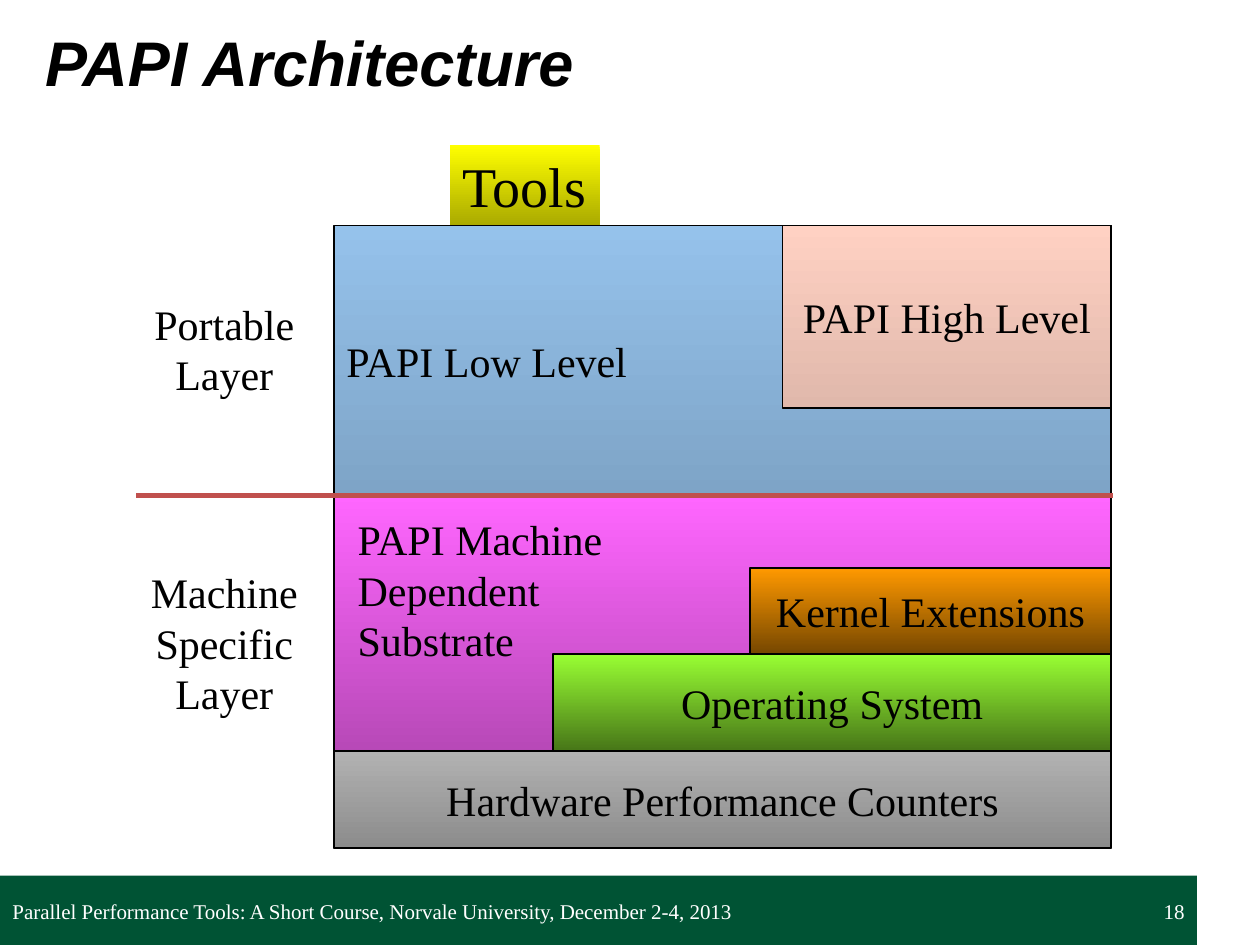
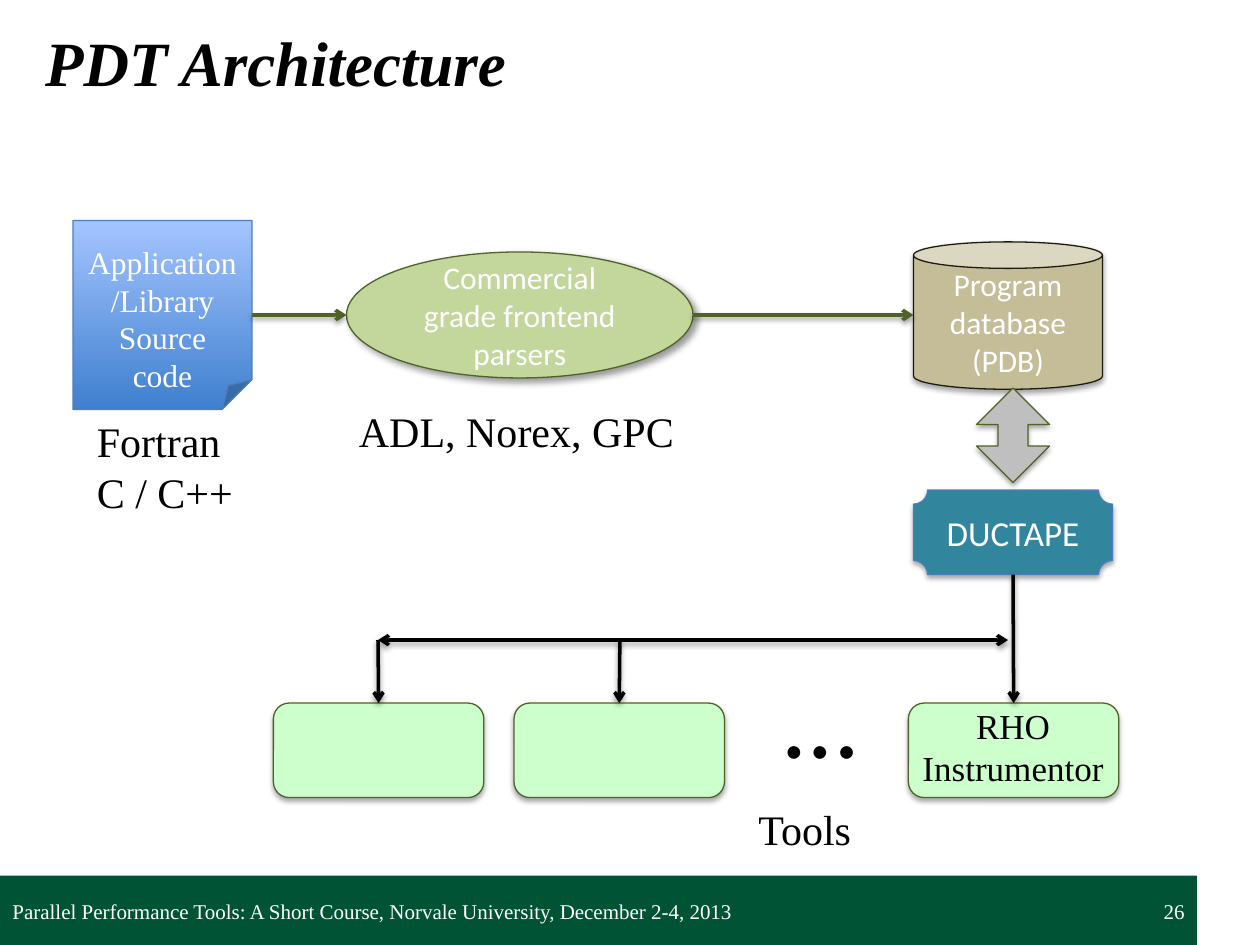
from lxml.etree import SubElement
from pptx import Presentation
from pptx.dml.color import RGBColor
from pptx.enum.shapes import MSO_CONNECTOR, MSO_SHAPE as SHAPE
from pptx.enum.text import MSO_ANCHOR as ANCHOR, PP_ALIGN as ALIGN
from pptx.oxml.ns import qn
from pptx.util import Emu, Pt

PX = 9144  # EMU per px, 100 px to the inch

BLACK = RGBColor(0x00, 0x00, 0x00)
WHITE = RGBColor(0xFF, 0xFF, 0xFF)
BAND_GREEN = RGBColor(0x00, 0x53, 0x34)
DIVIDER_RED = RGBColor(0xC0, 0x50, 0x4D)
OLIVE = RGBColor(0x4F, 0x62, 0x28)
EDGE_BLUE = RGBColor(0x4B, 0x7E, 0xBC)
PARSER_GREEN = RGBColor(0xC3, 0xD6, 0x9B)
DATABASE_TAN = RGBColor(0xC4, 0xBD, 0x97)
DATABASE_EDGE = RGBColor(0x1E, 0x1C, 0x11)
DUCTAPE_TEAL = RGBColor(0x31, 0x85, 0x9C)
ARROW_GRAY = RGBColor(0xBF, 0xBF, 0xBF)
TOOL_GREEN = RGBColor(0xCC, 0xFF, 0xCC)

# Gradients, top colour to bottom colour
MAGENTA = (RGBColor(0xFF, 0x66, 0xFF), RGBColor(0x9B, 0x3E, 0x9B))
SKY = (RGBColor(0x95, 0xC2, 0xEB), RGBColor(0x7E, 0xA4, 0xC7))
YELLOW = (RGBColor(0xFF, 0xFF, 0x00), RGBColor(0xAA, 0xAA, 0x00))
SILVER = (RGBColor(0xB2, 0xB2, 0xB2), RGBColor(0x8C, 0x8C, 0x8C))
LIME = (RGBColor(0x99, 0xFF, 0x33), RGBColor(0x47, 0x76, 0x18))
ORANGE = (RGBColor(0xFF, 0x99, 0x00), RGBColor(0x76, 0x47, 0x00))
PEACH = (RGBColor(0xFF, 0xD1, 0xC3), RGBColor(0xE0, 0xB8, 0xAB))
BLUE = (RGBColor(0xA4, 0xC4, 0xFF), RGBColor(0x3F, 0x80, 0xCE))

SERIF, SANS, CALIBRI = "Times New Roman", "Arial", "Calibri"
COURSE = ("Parallel Performance Tools: A Short Course, "
          "Norvale University, December 2-4, 2013")

# Shadows: opacity %, blur pt, distance pt, direction in degrees
SOFT_SHADOW = (35, 3.1, 1.8, 90)
LINE_SHADOW = (38, 3.1, 1.6, 90)
PARSER_SHADOW = (40, 4, 3, 45)


def px(*lengths):
    return [Emu(length * PX) for length in lengths]


def write(frame, text, size=24, font=SERIF, color=BLACK, bold=False,
          italic=False, align=ALIGN.LEFT, anchor=ANCHOR.TOP, wrap=False,
          top=5, bottom=5):
    """Fill a text frame, one paragraph per line of text."""
    frame.text = text
    frame.word_wrap = wrap
    frame.vertical_anchor = anchor
    frame.margin_top, frame.margin_bottom = px(top, bottom)
    for paragraph in frame.paragraphs:
        paragraph.alignment = align
        for run in paragraph.runs:
            run.font.size = Pt(size)
            run.font.name = font
            run.font.color.rgb = color
            run.font.bold = bold
            run.font.italic = italic


def add_label(slide, box, text, **style):
    write(slide.shapes.add_textbox(*px(*box)).text_frame, text, **style)


def set_shadow(shape, shadow):
    """Replace the theme shadow; call after the line has been set."""
    effects = SubElement(shape._element.spPr, qn("a:effectLst"))
    if shadow:
        opacity, blur, distance, direction = shadow
        outer = SubElement(effects, qn("a:outerShdw"), {
            "blurRad": str(Pt(blur)), "dist": str(Pt(distance)),
            "dir": str(direction * 60000), "rotWithShape": "0"})
        tint = SubElement(outer, qn("a:srgbClr"), val=str(BLACK))
        SubElement(tint, qn("a:alpha"), val=str(opacity * 1000))


def add_block(slide, box, fill, kind=SHAPE.RECTANGLE, edge=None, width=0.75,
              shadow=None, adjust=(), text="", **style):
    """Draw a filled shape; a pair of colours makes a vertical gradient."""
    block = slide.shapes.add_shape(kind, *px(*box))
    for index, value in enumerate(adjust):
        block.adjustments[index] = value
    if isinstance(fill, RGBColor):
        block.fill.solid()
        block.fill.fore_color.rgb = fill
    else:
        block.fill.gradient()
        block.fill.gradient_angle = 270
        for stop, color in zip(block.fill.gradient_stops, fill):
            stop.color.rgb = color
    if edge is None:
        block.line.fill.background()
    else:
        block.line.color.rgb = edge
        block.line.width = Pt(width)
    set_shadow(block, shadow)
    if text:
        write(block.text_frame, text, **style)
    return block


def add_line(slide, start, end, color=BLACK, width=2, ends=("tailEnd",),
             shadow=LINE_SHADOW, source=None, target=None):
    """Draw a line; source and target are (shape, side) to join."""
    line = slide.shapes.add_connector(MSO_CONNECTOR.STRAIGHT,
                                      *px(*start, *end))
    if source:
        line.begin_connect(*source)
    if target:
        line.end_connect(*target)
    line.line.color.rgb = color
    line.line.width = Pt(width)
    for arrow_end in ends:
        SubElement(line.line._get_or_add_ln(), qn("a:" + arrow_end),
                   type="arrow")
    set_shadow(line, shadow)


def add_page(deck, title, number, title_font):
    """Add a slide with the shared title, band and footer."""
    slide = deck.slides.add_slide(deck.slide_layouts[6])
    add_block(slide, (0, 695, 950, 55), BAND_GREEN)
    add_label(slide, (26, 1, 974, 96), title, size=36, font=title_font,
              bold=True, italic=True, anchor=ANCHOR.MIDDLE, wrap=True)
    footer = dict(size=12, color=WHITE, anchor=ANCHOR.MIDDLE, wrap=True,
                  top=10, bottom=10)
    add_label(slide, (0, 697, 658, 53), COURSE, **footer)
    add_label(slide, (717, 697, 233, 53), number, align=ALIGN.RIGHT, **footer)
    return slide


def build_papi(deck):
    slide = add_page(deck, "PAPI Architecture", "18", SANS)
    left, right = 265, 882

    def layer(x, top, bottom, fill, text="", align=ALIGN.CENTER):
        add_block(slide, (x, top, right - x, bottom - top), fill, edge=BLACK,
                  width=1, text=text, align=align, anchor=ANCHOR.MIDDLE)

    # Substrate and portable layer, split by the divider
    layer(left, 393, 673, MAGENTA)
    add_label(slide, (274, 403, 216, 131),
              "PAPI Machine\nDependent\nSubstrate")
    layer(left, 179, 393, SKY, "PAPI Low Level", ALIGN.LEFT)
    add_line(slide, (108, 393), (883, 393), DIVIDER_RED, 3, ends=(),
             shadow=None)
    add_block(slide, (357, 115, 119, 64), YELLOW, text="Tools", size=32)

    # Stacked layers, bottom to top
    layer(left, 596, 673, SILVER, "Hardware Performance Counters")
    layer(439, 519, 596, LIME, "Operating System")
    layer(595, 451, 519, ORANGE, "Kernel Extensions")
    layer(621, 179, 324, PEACH, "PAPI High Level")

    # Side labels
    add_label(slide, (112, 232, 132, 91), "Portable\nLayer",
              align=ALIGN.CENTER)
    add_label(slide, (109, 445, 138, 131), "Machine\nSpecific\nLayer",
              align=ALIGN.CENTER)


def build_pdt(deck):
    slide = add_page(deck, "PDT Architecture", "26", SERIF)
    centred = dict(color=WHITE, align=ALIGN.CENTER, anchor=ANCHOR.MIDDLE,
                   wrap=True)

    # Source code, parsers and database
    source_code = add_block(
        slide, (58, 175, 142, 150), BLUE, SHAPE.FOLDED_CORNER, EDGE_BLUE,
        text="Application/Library\nSource\ncode", size=18, top=34, **centred)
    add_label(slide, (67, 325, 129, 91), "Fortran\nC / C++")
    add_block(slide, (275, 200, 275, 100), PARSER_GREEN, SHAPE.OVAL, OLIVE,
              shadow=PARSER_SHADOW, text="Commercial grade frontend parsers",
              size=18, font=CALIBRI, **centred)
    add_label(slide, (275, 317, 284, 50), "ADL, Norex, GPC")
    add_block(slide, (725, 192, 150, 117), DATABASE_TAN, SHAPE.CAN,
              DATABASE_EDGE, shadow=SOFT_SHADOW, adjust=(0.18,),
              text="Program database (PDB)", size=18, font=CALIBRI, **centred)
    add_line(slide, (200, 250), (275, 250), OLIVE, source=(source_code, 3))
    add_line(slide, (550, 250), (725, 250), OLIVE)

    # DUCTAPE library
    ductape = add_block(slide, (725, 389, 158, 67), DUCTAPE_TEAL,
                        SHAPE.PLAQUE, EDGE_BLUE, shadow=SOFT_SHADOW,
                        text="DUCTAPE", size=20, font=CALIBRI, **centred)
    add_block(slide, (775, 308, 58, 75), ARROW_GRAY, SHAPE.UP_DOWN_ARROW,
              OLIVE, shadow=SOFT_SHADOW, adjust=(0.5, 0.41))

    # Tools fed by DUCTAPE
    first, second, instrumentor = [
        add_block(slide, (x, 558, 167, 75), TOOL_GREEN,
                  SHAPE.ROUNDED_RECTANGLE, OLIVE, shadow=SOFT_SHADOW)
        for x in (217, 408, 721)]
    add_label(slide, (613, 514, 78, 111), "…", size=60, font=CALIBRI)
    add_label(slide, (592, 633, 95, 50), "Tools")
    add_line(slide, (804, 456), (804, 558), source=(ductape, 2),
             target=(instrumentor, 0))
    add_line(slide, (800, 508), (300, 508), ends=("headEnd", "tailEnd"))
    for x, tool in ((492, second), (300, first)):
        add_line(slide, (x, 508), (x, 558), target=(tool, 0))
    add_label(slide, (708, 554, 192, 77), "RHO\nInstrumentor", size=20,
              align=ALIGN.CENTER, wrap=True)


def main():
    deck = Presentation()
    deck.slide_width, deck.slide_height = px(1000, 750)
    build_papi(deck)
    build_pdt(deck)
    deck.save("out.pptx")


if __name__ == "__main__":
    main()
